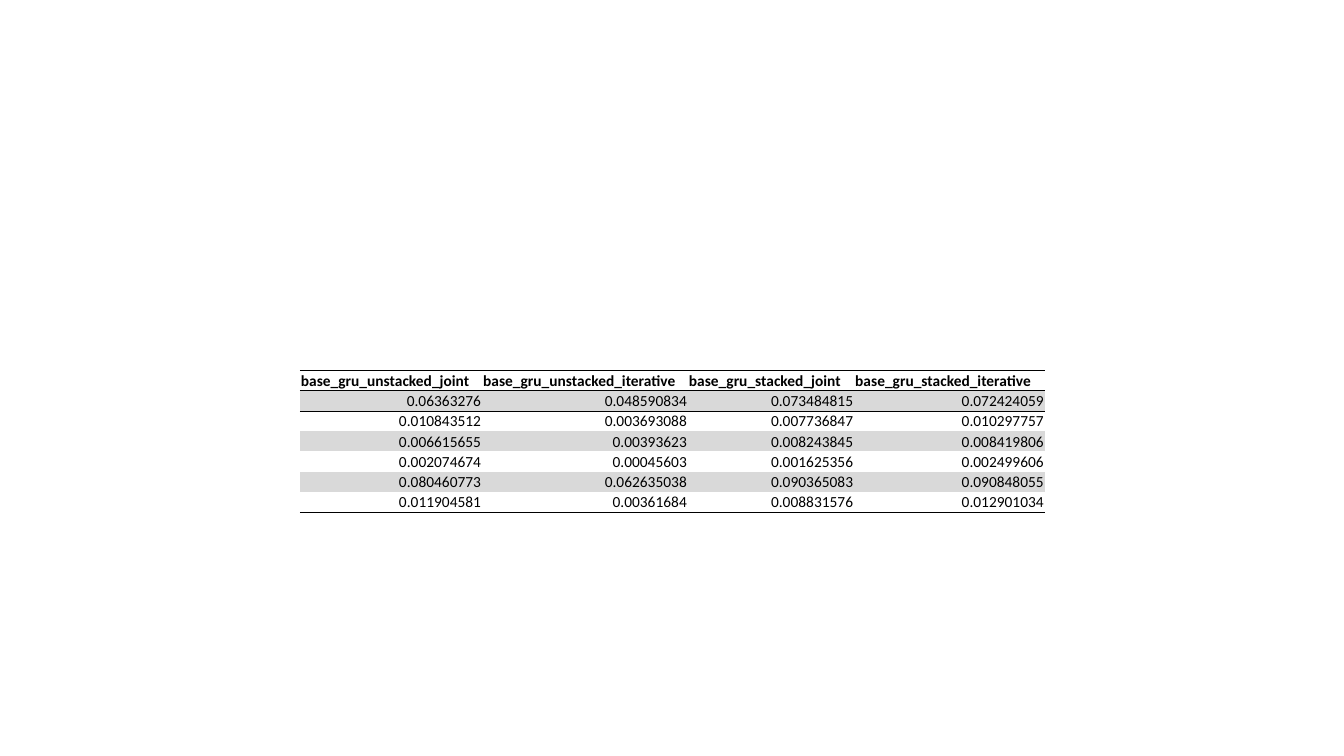
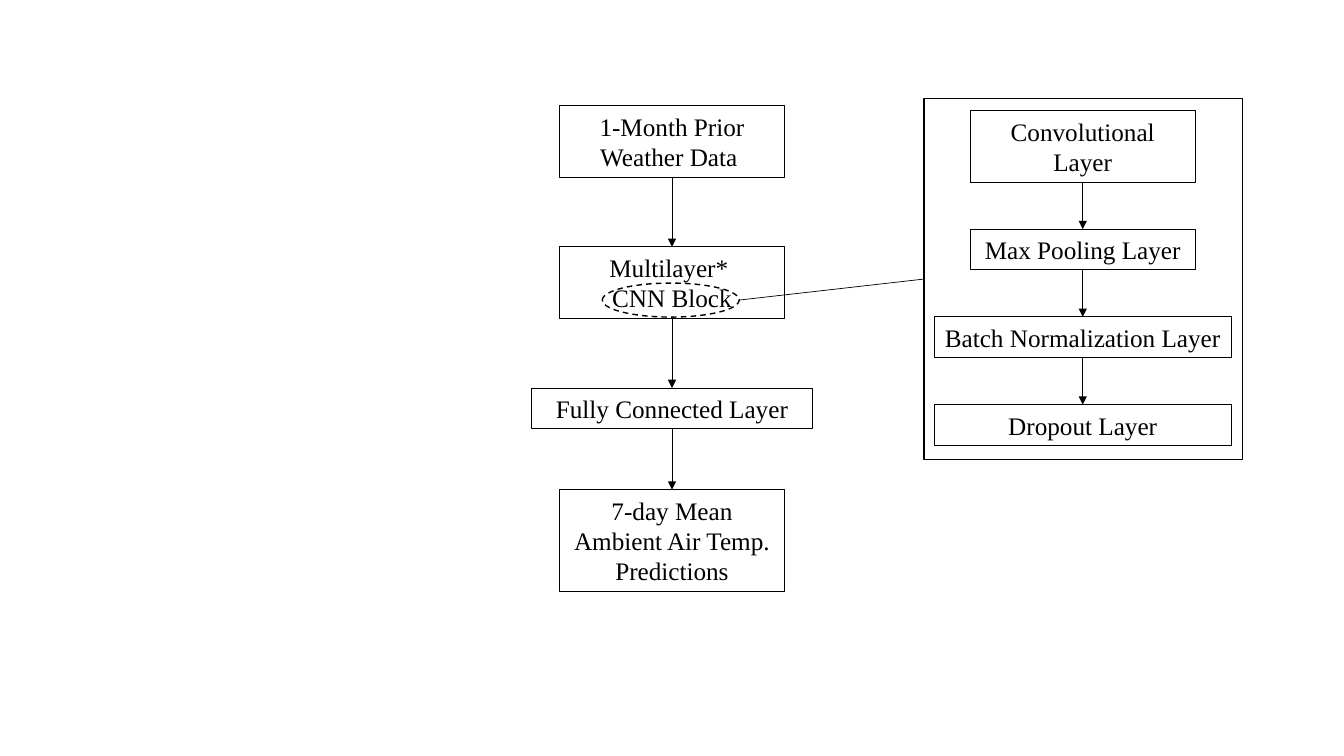
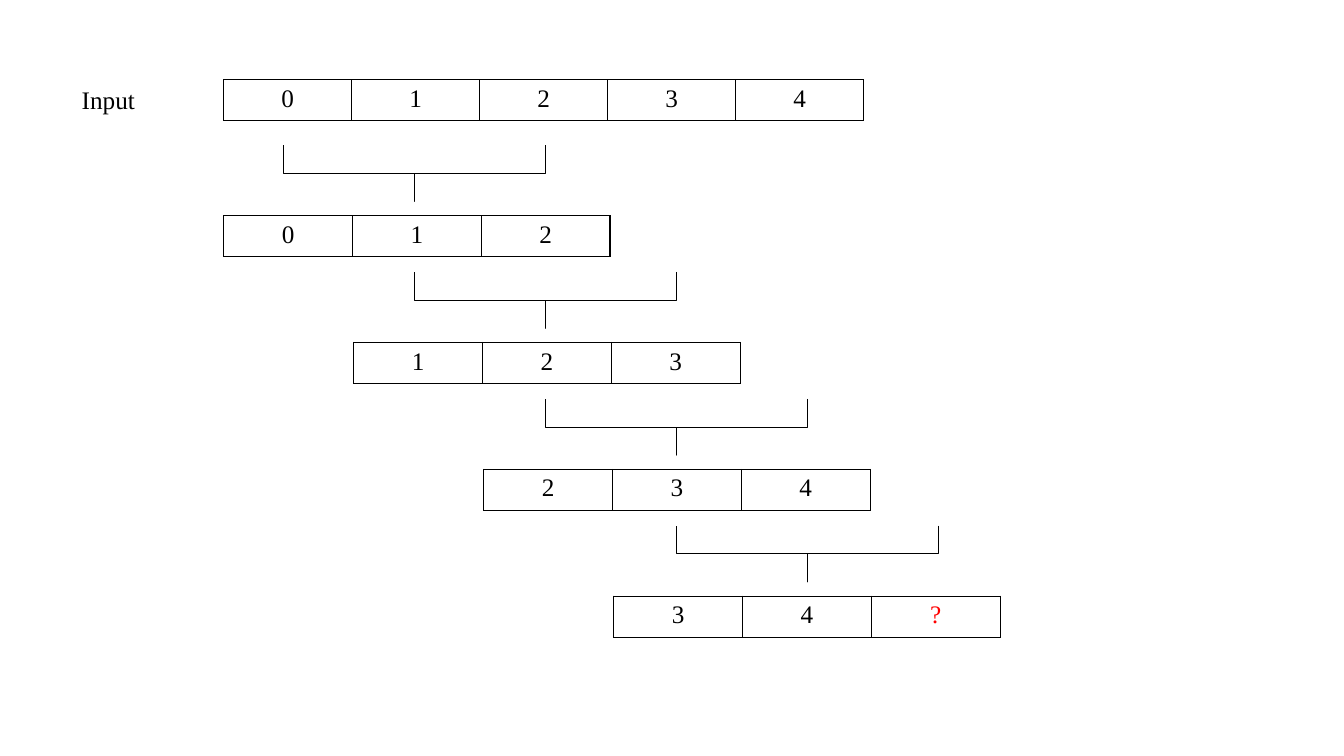
"""Build three slides: a score table, a network diagram and a sliding window."""
from dataclasses import dataclass
from typing import Optional

from lxml.etree import SubElement
from pptx import Presentation
from pptx.dml.color import RGBColor
from pptx.enum.dml import MSO_LINE
from pptx.enum.shapes import MSO_CONNECTOR, MSO_SHAPE
from pptx.enum.text import MSO_ANCHOR, MSO_AUTO_SIZE, PP_ALIGN
from pptx.oxml.ns import qn
from pptx.util import Inches, Pt

SLIDE_W, SLIDE_H = Inches(13.33), Inches(7.5)
COLS, ROWS = 160, 90
BLACK, GREY, RED = "000000", "D9D9D9", "FF0000"
SERIF, SANS = "Times New Roman", "Calibri"
PLAIN_TABLE = "{2D5ABB26-0587-4C30-8999-92F81FD0307C}"
LINE_H = {1: 4.85, 2: 8.48, 3: 12.12}
TOP, LEFT, BOTTOM = 0, 1, 2


@dataclass(frozen=True)
class Font:
    """Typeface, size, weight and colour of a run."""
    name: str = SERIF
    size: float = 18
    bold: bool = False
    color: str = BLACK


@dataclass(frozen=True)
class Area:
    """A rectangle in grid columns and rows."""
    x: float
    y: float
    w: float
    h: float


@dataclass(frozen=True)
class Layer:
    """A box in a vertical chain, with the gap above it."""
    text: str
    lines: int
    width: float
    gap: float = 0


@dataclass(frozen=True)
class Cell:
    """Text and look of a table cell."""
    text: str
    font: Font = Font()
    align: PP_ALIGN = PP_ALIGN.CENTER
    fill: Optional[str] = None
    borders: str = "LRTB"
    border_pt: float = 1
    tight: bool = False


HEADERS = ("base_gru_unstacked_joint", "base_gru_unstacked_iterative",
           "base_gru_stacked_joint", "base_gru_stacked_iterative")
SCORES = (
    ("0.06363276", "0.048590834", "0.073484815", "0.072424059"),
    ("0.010843512", "0.003693088", "0.007736847", "0.010297757"),
    ("0.006615655", "0.00393623", "0.008243845", "0.008419806"),
    ("0.002074674", "0.00045603", "0.001625356", "0.002499606"),
    ("0.080460773", "0.062635038", "0.090365083", "0.090848055"),
    ("0.011904581", "0.00361684", "0.008831576", "0.012901034"),
)
NETWORK = (
    Layer("1-Month Prior Weather Data ", 2, 26.8),
    Layer("Multilayer* \nCNN Block", 2, 26.8, 8.32),
    Layer("Fully Connected Layer", 1, 33.5, 8.32),
    Layer("7-day Mean Ambient Air Temp. Predictions", 3, 26.8, 7.25),
)
CNN_BLOCK = (
    Layer("Convolutional Layer", 2, 26.8),
    Layer("Max Pooling Layer", 1, 26.8, 5.6),
    Layer("Batch Normalization Layer", 1, 35.4, 5.6),
    Layer("Dropout Layer", 1, 35.4, 5.6),
)


def col(n: float) -> int:
    """Turn grid columns into a length."""
    return round(SLIDE_W * n / COLS)


def row(n: float) -> int:
    """Turn grid rows into a length."""
    return round(SLIDE_H * n / ROWS)


def place(a: Area) -> tuple[int, int, int, int]:
    """Turn a grid area into left, top, width and height."""
    return col(a.x), row(a.y), col(a.w), row(a.h)


def rgb(color: str) -> RGBColor:
    """Turn a hex string into a colour."""
    return RGBColor.from_string(color)


def write(tf, text: str, font: Font = Font(), align=PP_ALIGN.CENTER) -> None:
    """Write one paragraph for each line of the text."""
    for i, line in enumerate(text.split("\n")):
        p = tf.add_paragraph() if i else tf.paragraphs[0]
        p.alignment = align
        r = p.add_run()
        r.text = line
        r.font.name, r.font.size, r.font.bold = font.name, Pt(font.size), font.bold
        r.font.color.rgb = rgb(font.color)


def add_outline(shapes, kind: MSO_SHAPE, area: Area, line_pt: float, text: str = ""):
    """Add an unfilled shape with a black line."""
    sp = shapes.add_shape(kind, *place(area))
    sp.shadow.inherit = False
    sp.fill.background()
    sp.line.color.rgb = rgb(BLACK)
    sp.line.width = Pt(line_pt)
    if text:
        sp.text_frame.word_wrap = True
        sp.text_frame.auto_size = MSO_AUTO_SIZE.SHAPE_TO_FIT_TEXT
        write(sp.text_frame, text)
    return sp


def add_line(shapes, start: tuple[float, float] = (0, 0), arrow: bool = False):
    """Add a thin straight connector from a grid point."""
    x, y = col(start[0]), row(start[1])
    c = shapes.add_connector(MSO_CONNECTOR.STRAIGHT, x, y, x, y)
    c.line.color.rgb = rgb(BLACK)
    c.line.width = Pt(0.5)
    pr = c.element.spPr
    if arrow:
        SubElement(pr.find(qn("a:ln")), qn("a:tailEnd"), type="triangle")
    SubElement(pr, qn("a:effectLst"))
    return c


def add_chain(shapes, layers: tuple[Layer, ...], center: float, top: float) -> None:
    """Stack boxes on a centre line and join them with arrows."""
    above = None
    for layer in layers:
        top += layer.gap
        h = LINE_H[layer.lines]
        area = Area(center - layer.width / 2, top, layer.width, h)
        box = add_outline(shapes, MSO_SHAPE.RECTANGLE, area, 0.75, layer.text)
        if above is not None:
            arrow = add_line(shapes, arrow=True)
            arrow.begin_connect(above, BOTTOM)
            arrow.end_connect(box, TOP)
        above = box
        top += h


def style_cell(cell, look: Cell) -> None:
    """Apply text, borders and fill to a table cell."""
    write(cell.text_frame, look.text, look.font, look.align)
    if look.tight:
        cell.margin_left = cell.margin_right = cell.margin_top = Inches(0.01)
        cell.margin_bottom = 0
        cell.vertical_anchor = MSO_ANCHOR.BOTTOM
    pr = cell._tc.get_or_add_tcPr()
    for side in look.borders:
        ln = SubElement(pr, qn(f"a:ln{side}"), w=str(Pt(look.border_pt)))
        SubElement(SubElement(ln, qn("a:solidFill")), qn("a:srgbClr"), val=BLACK)
    if look.fill:
        cell.fill.solid()
        cell.fill.fore_color.rgb = rgb(look.fill)
    else:
        cell.fill.background()


def add_grid(s, x: float, y: float, widths: list[float], height: float,
             rows: list[list[Cell]]) -> None:
    """Add a plain table from rows of cells."""
    area = Area(x, y, sum(widths), height * len(rows))
    frame = s.shapes.add_table(len(rows), len(widths), *place(area))
    frame.element.find(".//" + qn("a:tableStyleId")).text = PLAIN_TABLE
    table = frame.table
    table.first_row = table.horz_banding = False
    for column, width in zip(table.columns, widths):
        column.width = col(width)
    for i, looks in enumerate(rows):
        table.rows[i].height = row(height)
        for j, look in enumerate(looks):
            style_cell(table.cell(i, j), look)


def build_scores(s) -> None:
    """Draw the table of scores."""
    head = Font(SANS, 11, True)
    body = Font(SANS, 11)
    rows = [[Cell(t, head, PP_ALIGN.LEFT, None, "TB", 0.5, True) for t in HEADERS]]
    for i, values in enumerate(SCORES):
        borders = "T" if i == 0 else "B" if i == len(SCORES) - 1 else ""
        fill = None if i % 2 else GREY
        rows.append([Cell(t, body, PP_ALIGN.RIGHT, fill, borders, 0.5, True)
                     for t in values])
    add_grid(s, 35.7, 44.1, [21.7, 24.5, 19.8, 22.7], 2.41, rows)


def build_network(s) -> None:
    """Draw the network and the detail of its block."""
    add_chain(s.shapes, NETWORK, COLS / 2, 12.6)
    mark = Area(71.7, 33.7, 16.3, 4.05)
    ellipse = add_outline(s.shapes, MSO_SHAPE.OVAL, mark, 1)
    ellipse.line.dash_style = MSO_LINE.DASH
    detail = s.shapes.add_group_shape().shapes
    add_chain(detail, CNN_BLOCK, 128.9, 13.2)
    frame = add_outline(detail, MSO_SHAPE.RECTANGLE, Area(110, 11.75, 37.9, 42.95), 1)
    link = add_line(s.shapes, (mark.x + mark.w, mark.y + mark.h / 2))
    link.end_connect(frame, LEFT)


def build_windows(s) -> None:
    """Draw the input row and the windows that slide along it."""
    left, height = 26.64, 4.87
    label = s.shapes.add_textbox(*place(Area(5.4, 9.4, 15, height)))
    label.text_frame.word_wrap = True
    label.text_frame.auto_size = MSO_AUTO_SIZE.SHAPE_TO_FIT_TEXT
    write(label.text_frame, "Input")
    add_grid(s, left, 9.48, [15.24] * 5, height, [[Cell(str(n)) for n in range(5)]])
    for i in range(4):
        drop = 15.1 * i
        brace = add_outline(s.shapes, MSO_SHAPE.RIGHT_BRACE,
                            Area(45.96 + 15.6 * i, 5.04 + drop, 6.72, 31.2), 0.5)
        brace.rotation = 90
        brace.adjustments[0], brace.adjustments[1] = 0, 0.5
        window = [Cell(str(n)) if n < 5 else Cell("?", Font(color=RED))
                  for n in range(i, i + 3)]
        add_grid(s, left + 15.48 * i, 25.68 + drop, [15.33] * 3, height, [window])


def main() -> None:
    """Build and save the slides."""
    prs = Presentation()
    prs.slide_width, prs.slide_height = SLIDE_W, SLIDE_H
    for build in (build_scores, build_network, build_windows):
        build(prs.slides.add_slide(prs.slide_layouts[6]))
    prs.save("out.pptx")


if __name__ == "__main__":
    main()
